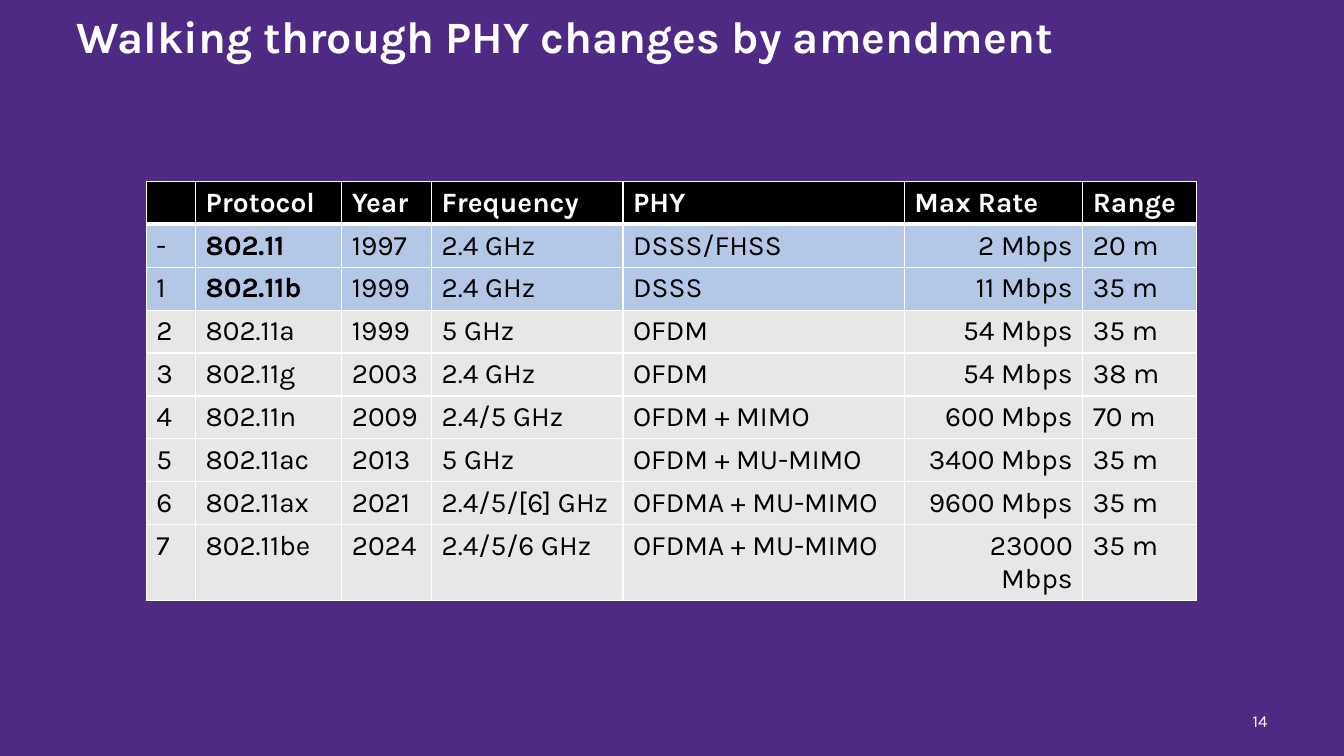
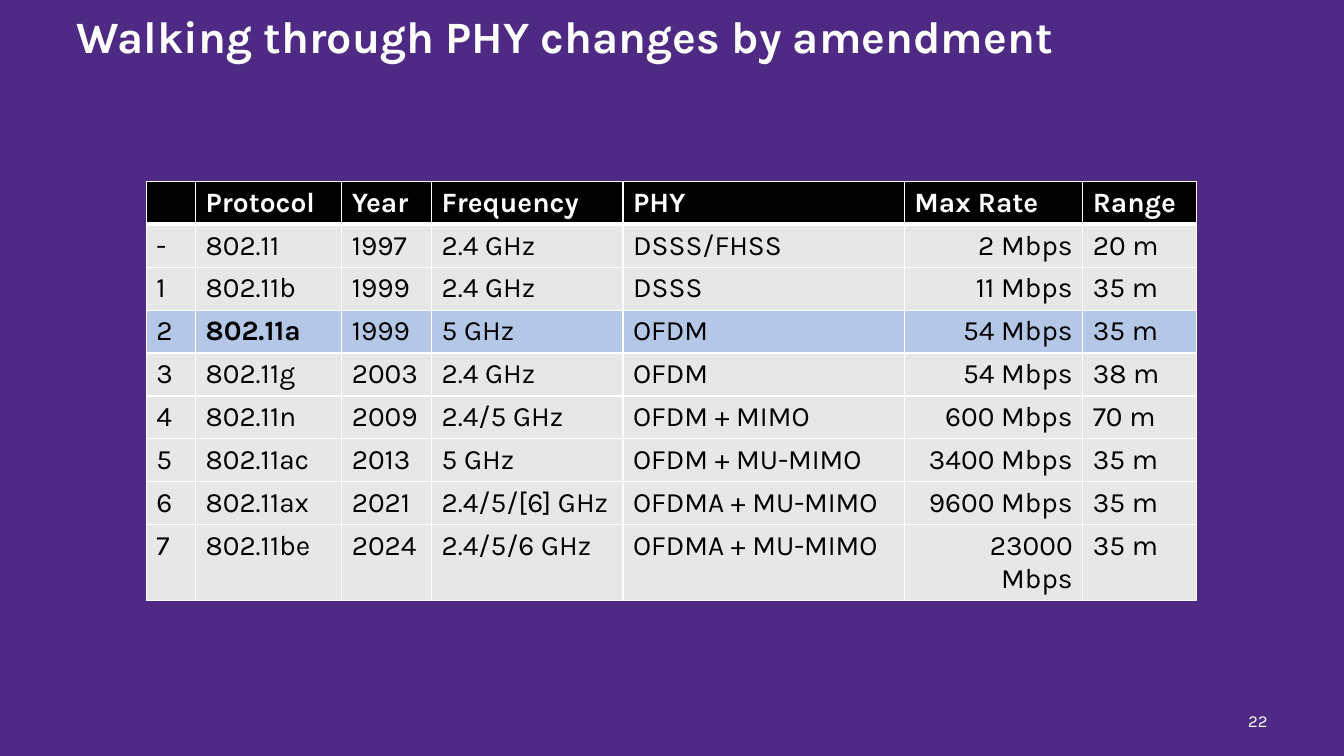
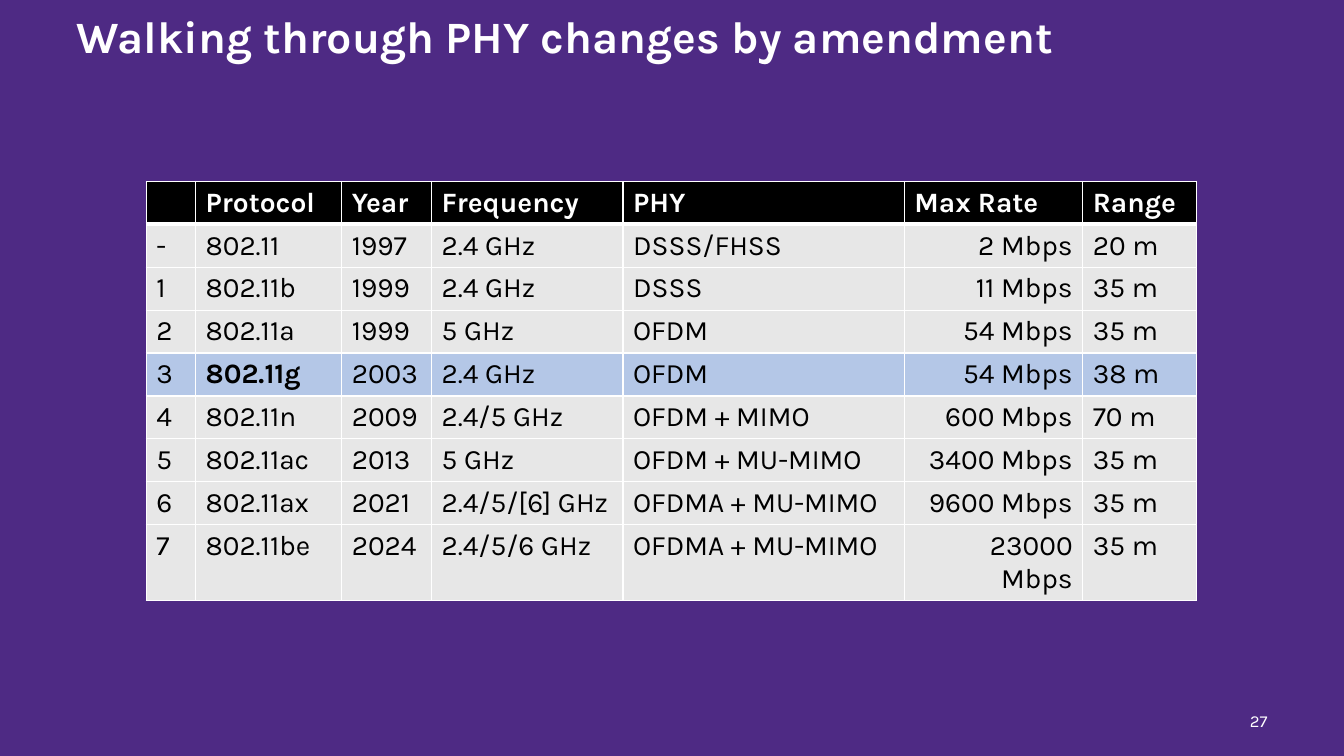
from dataclasses import dataclass

from lxml.etree import SubElement
from pptx import Presentation
from pptx.dml.color import RGBColor
from pptx.enum.text import MSO_ANCHOR, MSO_AUTO_SIZE, PP_ALIGN
from pptx.oxml import parse_xml
from pptx.oxml.ns import nsdecls, qn
from pptx.util import Inches, Pt


@dataclass(frozen=True)
class Theme:
    font: str = "Karla"
    background: str = "4E2A84"
    light: str = "FFFFFF"
    dark: str = "000000"
    row: str = "E7E7E7"
    highlight: str = "B4C7E7"
    title_size: int = 32
    table_size: int = 20
    number_size: int = 12
    border: int = 1
    header_border: int = 3


THEME = Theme()

TITLE = "Walking through PHY changes by amendment"
HEADERS = ("", "Protocol", "Year", "Frequency", "PHY", "Max Rate", "Range")
AMENDMENTS = [
    ("-", "802.11", "1997", "2.4 GHz", "DSSS/FHSS", "2 Mbps", "20 m"),
    ("1", "802.11b", "1999", "2.4 GHz", "DSSS", "11 Mbps", "35 m"),
    ("2", "802.11a", "1999", "5 GHz", "OFDM", "54 Mbps", "35 m"),
    ("3", "802.11g", "2003", "2.4 GHz", "OFDM", "54 Mbps", "38 m"),
    ("4", "802.11n", "2009", "2.4/5 GHz", "OFDM + MIMO", "600 Mbps", "70 m"),
    ("5", "802.11ac", "2013", "5 GHz", "OFDM + MU-MIMO", "3400 Mbps", "35 m"),
    ("6", "802.11ax", "2021", "2.4/5/[6] GHz", "OFDMA + MU-MIMO", "9600 Mbps", "35 m"),
    ("7", "802.11be", "2024", "2.4/5/6 GHz", "OFDMA + MU-MIMO", "23000 Mbps", "35 m"),
]
SLIDES = [  # slide number, protocols in focus
    ("14", {"802.11", "802.11b"}),
    ("22", {"802.11a"}),
    ("27", {"802.11g"}),
]

COLUMN_WIDTHS = (0.49, 1.45, 0.89, 1.9, 2.79, 1.77, 1.13)
ROW_HEIGHT = 0.41
PROTOCOL_COLUMN = HEADERS.index("Protocol")
RATE_COLUMN = HEADERS.index("Max Rate")


def style_font(font, size, color, bold=False):
    font.name = THEME.font
    font.size = Pt(size)
    font.bold = bold
    font.color.rgb = RGBColor.from_string(color)


def style_master(presentation):
    """Set the shared background and title style; return the title-only layout."""
    master = presentation.slide_master
    fill = master.background.fill
    fill.solid()
    fill.fore_color.rgb = RGBColor.from_string(THEME.background)

    title_style = master.element.find(".//" + qn("p:titleStyle"))
    title_style.replace(title_style.find(qn("a:lvl1pPr")), parse_xml(
        f'<a:lvl1pPr {nsdecls("a")} algn="l">'
        '<a:lnSpc><a:spcPct val="90000"/></a:lnSpc>'
        '<a:spcBef><a:spcPts val="0"/></a:spcBef><a:buNone/>'
        f'<a:defRPr sz="{THEME.title_size * 100}" b="1">'
        f'<a:solidFill><a:srgbClr val="{THEME.light}"/></a:solidFill>'
        f'<a:latin typeface="{THEME.font}"/></a:defRPr></a:lvl1pPr>'))

    layout = presentation.slide_layouts.get_by_name("Title Only")
    title = layout.placeholders[0]
    title.left, title.top = Inches(0.66), Inches(0.01)
    title.width, title.height = Inches(12), Inches(0.75)
    title.text_frame.vertical_anchor = MSO_ANCHOR.MIDDLE
    title.text_frame.auto_size = MSO_AUTO_SIZE.NONE
    return layout


def set_borders(cell, top, bottom):
    properties = cell._tc.get_or_add_tcPr()
    widths = {"L": THEME.border, "R": THEME.border, "T": top, "B": bottom}
    for side, width in widths.items():
        line = SubElement(properties, qn(f"a:ln{side}"), w=str(Pt(width)))
        fill = SubElement(line, qn("a:solidFill"))
        SubElement(fill, qn("a:srgbClr"), val=THEME.light)


def fill_cell(cell, text, fill, color, bold, align):
    cell.fill.solid()
    cell.fill.fore_color.rgb = RGBColor.from_string(fill)
    paragraph = cell.text_frame.paragraphs[0]
    paragraph.alignment = align
    if text:
        paragraph.text = text
        style_font(paragraph.runs[0].font, THEME.table_size, color, bold)


def add_amendment_table(slide, focus):
    rows = [HEADERS, *AMENDMENTS]
    table = slide.shapes.add_table(
        len(rows), len(HEADERS), Inches(1.45), Inches(1.8),
        Inches(sum(COLUMN_WIDTHS)), Inches(ROW_HEIGHT * len(rows))).table
    table.horz_banding = False
    for column, width in zip(table.columns, COLUMN_WIDTHS):
        column.width = Inches(width)

    for row_index, values in enumerate(rows):
        table.rows[row_index].height = Inches(ROW_HEIGHT)
        is_header = row_index == 0
        in_focus = values[PROTOCOL_COLUMN] in focus
        if is_header:
            fill, color = THEME.dark, THEME.light
        else:
            fill, color = THEME.highlight if in_focus else THEME.row, THEME.dark
        for column_index, text in enumerate(values):
            cell = table.cell(row_index, column_index)
            set_borders(cell,
                        top=THEME.header_border if row_index == 1 else THEME.border,
                        bottom=THEME.header_border if is_header else THEME.border)
            bold = is_header or (in_focus and column_index == PROTOCOL_COLUMN)
            right = column_index == RATE_COLUMN and not is_header
            fill_cell(cell, text, fill, color, bold,
                      PP_ALIGN.RIGHT if right else PP_ALIGN.LEFT)


def add_slide_number(slide, number):
    box = slide.shapes.add_textbox(Inches(11.67), Inches(6.95), Inches(1), Inches(0.4))
    frame = box.text_frame
    frame.word_wrap = True
    frame.vertical_anchor = MSO_ANCHOR.MIDDLE
    frame.text = number
    paragraph = frame.paragraphs[0]
    paragraph.alignment = PP_ALIGN.RIGHT
    style_font(paragraph.runs[0].font, THEME.number_size, THEME.light)


def main():
    presentation = Presentation()
    presentation.slide_width, presentation.slide_height = Inches(13.33), Inches(7.5)
    layout = style_master(presentation)
    for number, focus in SLIDES:
        slide = presentation.slides.add_slide(layout)
        slide.shapes.title.text_frame.text = TITLE
        add_amendment_table(slide, focus)
        add_slide_number(slide, number)
    presentation.save("out.pptx")


if __name__ == "__main__":
    main()
